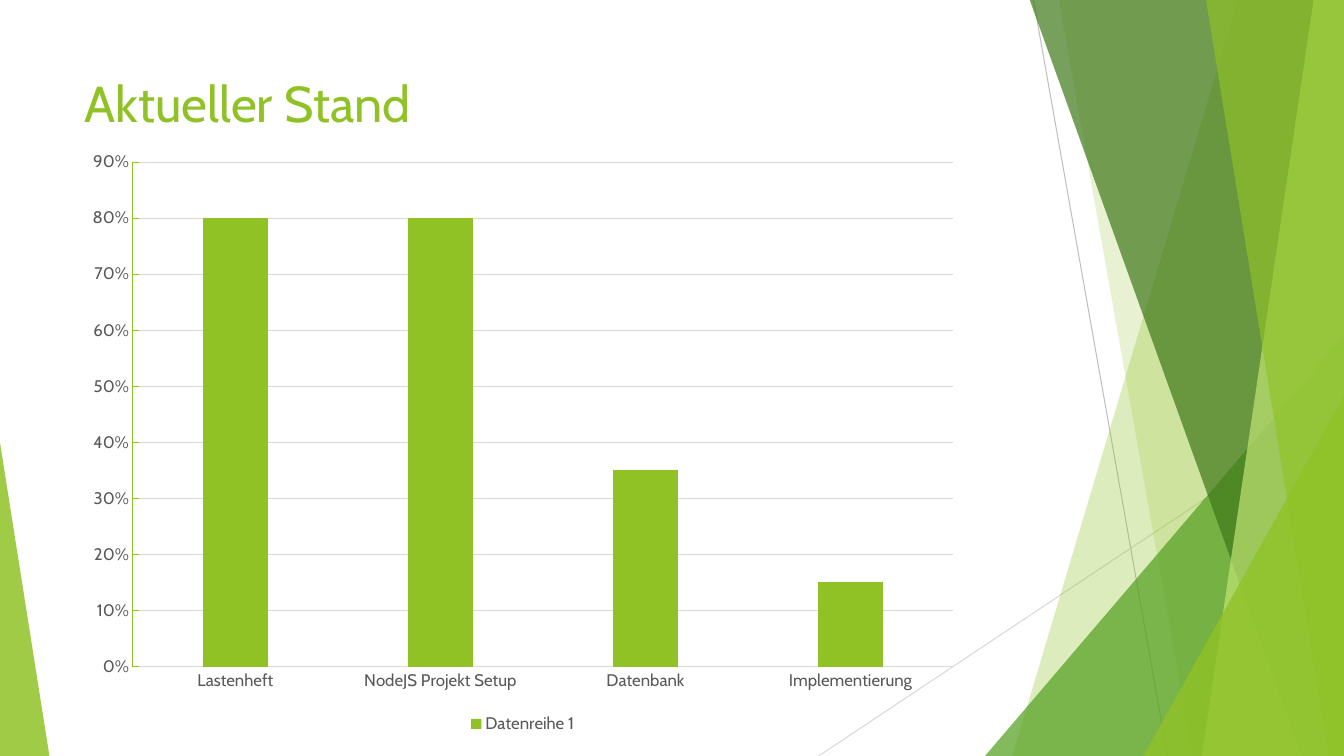
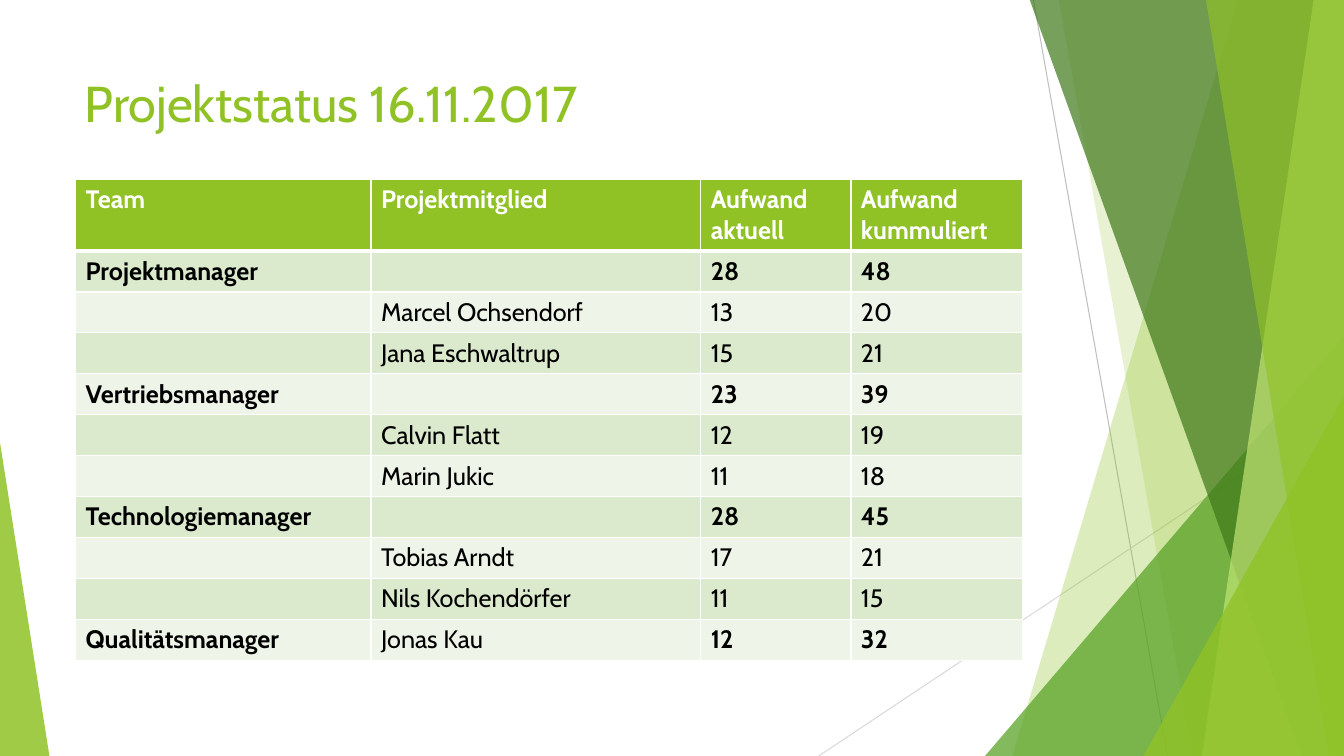
from lxml.etree import SubElement
from pptx import Presentation
from pptx.chart.data import CategoryChartData
from pptx.dml.color import RGBColor
from pptx.enum.chart import XL_CHART_TYPE as ChartType, XL_LEGEND_POSITION as LegendPosition
from pptx.enum.chart import XL_TICK_MARK as TickMark
from pptx.enum.shapes import MSO_CONNECTOR as Connector, MSO_SHAPE as Shape
from pptx.enum.text import MSO_ANCHOR as Anchor, MSO_AUTO_SIZE as AutoSize, PP_ALIGN as Align
from pptx.oxml.ns import qn
from pptx.util import Inches, Pt

FONT = "Cabin"
WIDTH, HEIGHT = 13.33, 7.5
BLEED = 0.01
COLORS = {
    "accent": "90C226", "leaf": "54A021", "forest": "3F7819", "lime": "C0E474",
    "ray": "BFBFBF", "grid": "D9D9D9", "label": "595959",
    "white": "FFFFFF", "black": "000000", "band_dark": "DBE9CD", "band_light": "EEF4E8",
}
PROGRESS = {"Lastenheft": 0.8, "NodeJS Projekt Setup": 0.8, "Datenbank": 0.35, "Implementierung": 0.15}
COLUMN_WIDTHS = (2.93, 3.27, 1.49, 1.7)
TABLE_HEIGHT, HEADER_HEIGHT = 4.76, 0.7
EFFORT = (
    ("Team", "Projektmitglied", "Aufwand aktuell", "Aufwand kummuliert"),
    ("Projektmanager", "", "28", "48"),
    ("", "Marcel Ochsendorf", "13", "20"),
    ("", "Jana Eschwaltrup", "15", "21"),
    ("Vertriebsmanager", "", "23", "39"),
    ("", "Calvin Flatt", "12", "19"),
    ("", "Marin Jukic", "11", "18"),
    ("Technologiemanager", "", "28", "45"),
    ("", "Tobias Arndt", "17", "21"),
    ("", "Nils Kochendörfer", "11", "15"),
    ("Qualitätsmanager", "Jonas Kau", "12", "32"),
)


def rgb(color):
    """Return the named palette colour."""
    return RGBColor.from_string(COLORS[color])


def style_font(font, size, color, bold=False):
    """Apply the deck font with a size, colour and weight."""
    font.name, font.size, font.bold = FONT, Pt(size), bold
    font.color.rgb = rgb(color)


def style_line(line, color, width=0.75):
    """Give a line its colour and width."""
    line.color.rgb = rgb(color)
    line.width = Pt(width)


def add_run(paragraph, text, size, color, bold=False):
    """Append a formatted run to a paragraph."""
    run = paragraph.add_run()
    run.text = text
    style_font(run.font, size, color, bold)


def tint(facet, color, opacity):
    """Fill a facet with a translucent colour and no outline."""
    facet.shadow.inherit = False
    facet.line.fill.background()
    facet.fill.solid()
    facet.fill.fore_color.rgb = rgb(color)
    fill_color = facet.element.xpath("./p:spPr/a:solidFill/a:srgbClr")[0]
    SubElement(fill_color, qn("a:alpha"), val=str(opacity * 1000))


def add_ray(shapes, start, end, color):
    """Draw a thin straight ray."""
    ray = shapes.add_connector(Connector.STRAIGHT, *map(Inches, start + end))
    style_line(ray.line, color)
    SubElement(ray.element.spPr, qn("a:effectLst"))


def add_band(shapes, top_x, bottom_x, color, opacity):
    """Draw a full-height band from a slanted edge to the right margin."""
    outline = ((WIDTH, -BLEED), (WIDTH, HEIGHT), (bottom_x, HEIGHT))
    builder = shapes.build_freeform(Inches(top_x), Inches(-BLEED))
    builder.add_line_segments([(Inches(x), Inches(y)) for x, y in outline])
    tint(builder.convert_to_shape(), color, opacity)


def add_corner(shapes, left, top, width, apex, color, opacity):
    """Draw a triangle that stands on the bottom edge."""
    corner = shapes.add_shape(Shape.ISOSCELES_TRIANGLE, Inches(left), Inches(top),
                              Inches(width), Inches(HEIGHT - top))
    corner.adjustments[0] = apex
    tint(corner, color, opacity)


def decorate_layout(layout, slide):
    """Build the facet artwork and place it behind the layout's placeholders."""
    artwork = slide.shapes.add_group_shape()
    shapes = artwork.shapes
    add_ray(shapes, (10.25, 0), (11.58, HEIGHT), "ray")
    add_ray(shapes, (WIDTH, 4.03), (8.12, HEIGHT), "grid")
    add_band(shapes, 12.28, 10.04, "accent", 30)
    add_band(shapes, 10.5, 11.83, "accent", 20)
    add_corner(shapes, 9.77, 3.33, 3.56, 1, "leaf", 72)
    add_band(shapes, 10.21, 12.91, "forest", 70)
    add_band(shapes, 13.03, 11.92, "lime", 70)
    add_band(shapes, 11.96, 13.18, "accent", 65)
    add_corner(shapes, 11.34, 3.93, 1.99, 1, "accent", 80)
    add_corner(shapes, 0, 4.39, 0.49, 0, "accent", 85)
    tree = layout.shapes.element
    tree.insert(2, artwork.element)
    for number, properties in enumerate(tree.xpath(".//p:cNvPr"), 1):
        properties.set("id", str(number))


def set_title(slide, text):
    """Place and fill the slide title."""
    title = slide.shapes.title
    title.left, title.top, title.width, title.height = map(Inches, (0.74, 0.67, 9.4, 1.44))
    frame = title.text_frame
    frame.word_wrap, frame.auto_size, frame.vertical_anchor = True, AutoSize.NONE, Anchor.TOP
    paragraph = frame.paragraphs[0]
    paragraph.alignment = Align.LEFT
    add_run(paragraph, text, 36, "accent")


def add_progress_chart(slide):
    """Add the column chart of progress per work package."""
    progress = CategoryChartData(number_format="0%")
    progress.categories = list(PROGRESS)
    progress.add_series("Datenreihe 1", list(PROGRESS.values()))
    chart = slide.shapes.add_chart(ChartType.COLUMN_CLUSTERED, Inches(0.74), Inches(1.39),
                                   Inches(8.89), Inches(5.93), progress).chart
    style_font(chart.font, 10, "black")
    chart.has_title = False
    chart.has_legend = True
    chart.legend.position = LegendPosition.BOTTOM
    chart.legend.include_in_layout = False
    style_font(chart.legend.font, 12, "label")

    plot = chart.plots[0]
    plot.gap_width, plot.overlap, plot.vary_by_categories = 219, -27, False
    columns = plot.series[0].format.fill
    columns.solid()
    columns.fore_color.rgb = rgb("accent")

    packages, percent = chart.category_axis, chart.value_axis
    for axis, tick, color in ((packages, TickMark.NONE, "grid"), (percent, TickMark.INSIDE, "accent")):
        axis.major_tick_mark, axis.minor_tick_mark = tick, TickMark.NONE
        style_font(axis.tick_labels.font, 12, "label")
        style_line(axis.format.line, color)
    percent.minimum_scale, percent.maximum_scale, percent.major_unit = 0, 0.9, 0.1
    percent.tick_labels.number_format = "0%"
    percent.tick_labels.number_format_is_linked = False
    percent.has_major_gridlines = True
    style_line(percent.major_gridlines.format.line, "grid")


def set_borders(cell, top, bottom):
    """Draw white cell borders ahead of the cell fill."""
    properties = cell._tc.get_or_add_tcPr()
    widths = {"a:lnL": 1, "a:lnR": 1, "a:lnT": top, "a:lnB": bottom}
    for position, (side, width) in enumerate(widths.items()):
        border = SubElement(properties, qn(side), w=str(Pt(width)))
        SubElement(SubElement(border, qn("a:solidFill")), qn("a:srgbClr"), val=COLORS["white"])
        properties.insert(position, border)


def add_effort_table(slide):
    """Add the banded table of effort per team and member."""
    table = slide.shapes.add_table(len(EFFORT), len(COLUMN_WIDTHS), Inches(0.75), Inches(1.78),
                                   Inches(sum(COLUMN_WIDTHS)), Inches(TABLE_HEIGHT)).table
    for column, width in zip(table.columns, COLUMN_WIDTHS):
        column.width = Inches(width)
    body_height = (TABLE_HEIGHT - HEADER_HEIGHT) / (len(EFFORT) - 1)
    for row, entries in enumerate(EFFORT):
        header = row == 0
        table.rows[row].height = Inches(HEADER_HEIGHT if header else body_height)
        band = "accent" if header else "band_dark" if row % 2 else "band_light"
        for column, entry in enumerate(entries):
            cell = table.cell(row, column)
            cell.fill.solid()
            cell.fill.fore_color.rgb = rgb(band)
            set_borders(cell, top=3 if row == 1 else 1, bottom=3 if header else 1)
            if entry:
                bold = header or (bool(entries[0]) and column != 1)
                add_run(cell.text_frame.paragraphs[0], entry, 18, "white" if header else "black", bold)


def main():
    """Build and save the status deck."""
    deck = Presentation()
    deck.slide_width, deck.slide_height = Inches(WIDTH), Inches(HEIGHT)
    layout = deck.slide_layouts.get_by_name("Title Only")
    progress_slide, effort_slide = (deck.slides.add_slide(layout) for _ in range(2))
    decorate_layout(layout, progress_slide)
    set_title(progress_slide, "Aktueller Stand")
    add_progress_chart(progress_slide)
    set_title(effort_slide, "Projektstatus 16.11.2017")
    add_effort_table(effort_slide)
    deck.save("out.pptx")


if __name__ == "__main__":
    main()
